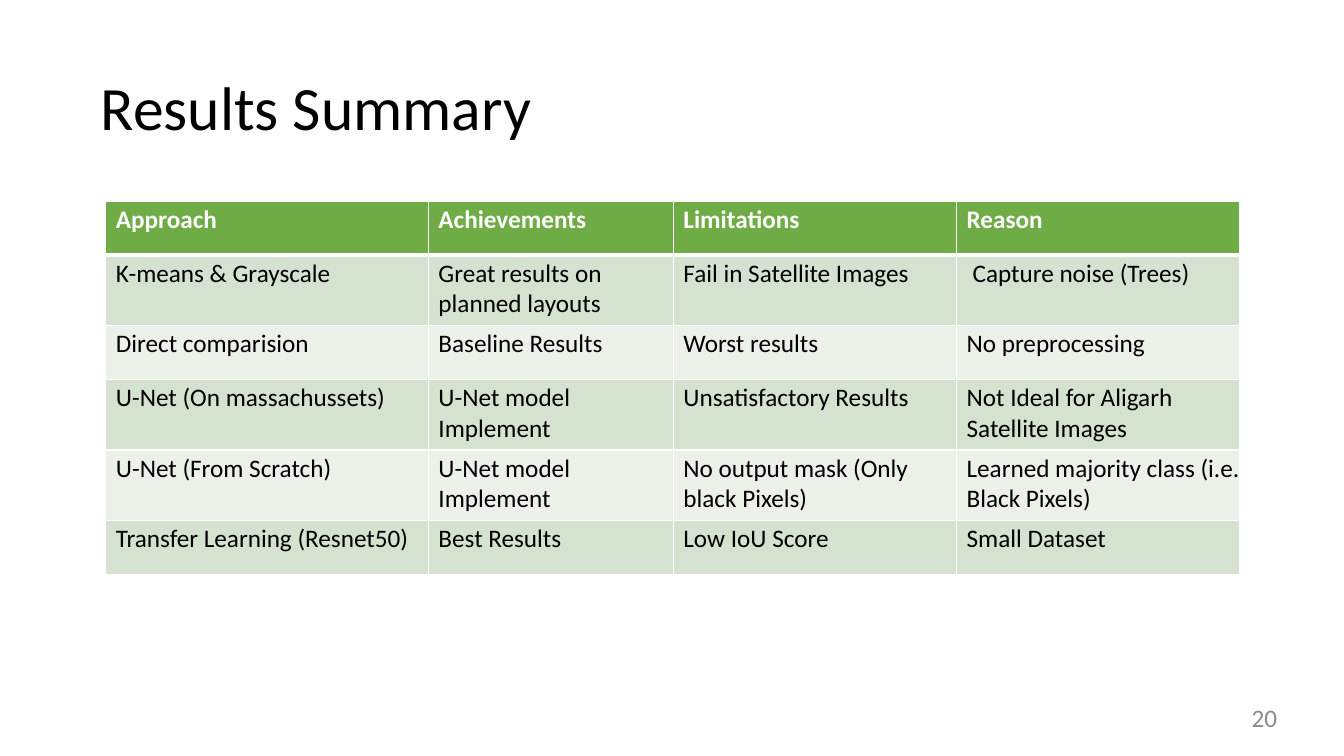
from dataclasses import dataclass

from lxml.etree import SubElement
from pptx import Presentation
from pptx.dml.color import RGBColor
from pptx.enum.text import MSO_ANCHOR, PP_ALIGN
from pptx.oxml.ns import qn
from pptx.slide import Slide
from pptx.table import _Cell
from pptx.text.text import _Paragraph
from pptx.util import Pt

FONT = "Calibri"
COLORS = {
    "black": "000000",
    "white": "FFFFFF",
    "header": "6FAC46",
    "odd": "D4E2CF",
    "even": "EBF0E9",
    "number": "8C8C8C",
}
COL_WIDTHS = [230.4, 174.96, 202.32, 202.32]
ROW_SHORT, ROW_TALL = 38.5, 50.4
CELL_INDENT = 7.2
THIN, THICK = 1, 3


@dataclass
class Label:
    text: str
    left: float
    top: float
    width: float
    height: float
    size: float
    color: str
    align: PP_ALIGN = PP_ALIGN.LEFT


@dataclass
class Row:
    texts: tuple[str, str, str, str]
    height: float = ROW_SHORT


LABELS = [
    Label("Results Summary", 72, 49, 630.72, 54.72, 44, "black"),
    Label("20", 691.2, 501.84, 221.04, 21.6, 18, "number", PP_ALIGN.RIGHT),
]
ROWS = [
    Row(("Approach", "Achievements", "Limitations", "Reason")),
    Row(("K-means & Grayscale", "Great results on planned layouts",
         "Fail in Satellite Images", "Capture noise (Trees)"), ROW_TALL),
    Row(("Direct comparision", "Baseline Results", "Worst results", "No preprocessing")),
    Row(("U-Net (On massachussets)", "U-Net model Implement",
         "Unsatisfactory Results", "Not Ideal for Aligarh Satellite Images"), ROW_TALL),
    Row(("U-Net (From Scratch)", "U-Net model Implement",
         "No output mask (Only black Pixels)",
         "Learned majority class (i.e. Black Pixels)"), ROW_TALL),
    Row(("Transfer Learning (Resnet50)", "Best Results", "Low IoU Score", "Small Dataset")),
]
EXTRA_INDENTS = {(1, 3): 4.3}


def rgb(name: str) -> RGBColor:
    return RGBColor.from_string(COLORS[name])


def add_run(p: _Paragraph, text: str, size: float, color: str, bold: bool = False) -> None:
    r = p.add_run()
    r.text = text
    r.font.name = FONT
    r.font.size = Pt(size)
    r.font.bold = bold
    r.font.color.rgb = rgb(color)


def add_label(s: Slide, label: Label) -> None:
    sp = s.shapes.add_textbox(Pt(label.left), Pt(label.top), Pt(label.width), Pt(label.height))
    tf = sp.text_frame
    tf.word_wrap = True
    tf.margin_left = tf.margin_top = tf.margin_right = tf.margin_bottom = 0
    p = tf.paragraphs[0]
    p.alignment = label.align
    add_run(p, label.text, label.size, label.color)


def set_borders(cell: _Cell, top: float, bottom: float) -> None:
    """Draw white borders; they must precede the cell's fill in the XML."""
    tc_pr = cell._tc.get_or_add_tcPr()
    for side, width in (("L", THIN), ("R", THIN), ("T", top), ("B", bottom)):
        ln = SubElement(tc_pr, qn(f"a:ln{side}"), w=str(Pt(width)))
        fill = SubElement(ln, qn("a:solidFill"))
        SubElement(fill, qn("a:srgbClr"), val=COLORS["white"])


def add_results_table(s: Slide) -> None:
    frame = s.shapes.add_table(len(ROWS), len(COL_WIDTHS), Pt(75.6), Pt(143.6),
                               Pt(sum(COL_WIDTHS)), Pt(sum(row.height for row in ROWS)))
    table = frame.table
    for column, width in zip(table.columns, COL_WIDTHS):
        column.width = Pt(width)
    for i, row in enumerate(ROWS):
        table.rows[i].height = Pt(row.height)
        header = i == 0
        band = "header" if header else "odd" if i % 2 else "even"
        for j, text in enumerate(row.texts):
            cell = table.cell(i, j)
            cell.margin_left = Pt(CELL_INDENT + EXTRA_INDENTS.get((i, j), 0))
            cell.margin_top = Pt(2.2)
            cell.margin_right = cell.margin_bottom = 0
            cell.vertical_anchor = MSO_ANCHOR.TOP
            set_borders(cell, THICK if i == 1 else THIN, THICK if header else THIN)
            cell.fill.solid()
            cell.fill.fore_color.rgb = rgb(band)
            add_run(cell.text_frame.paragraphs[0], text, 18,
                    "white" if header else "black", header)


def main() -> None:
    prs = Presentation()
    prs.slide_width, prs.slide_height = Pt(960), Pt(540)
    s = prs.slides.add_slide(prs.slide_layouts[6])
    add_results_table(s)
    for label in LABELS:
        add_label(s, label)
    prs.save("out.pptx")


if __name__ == "__main__":
    main()
